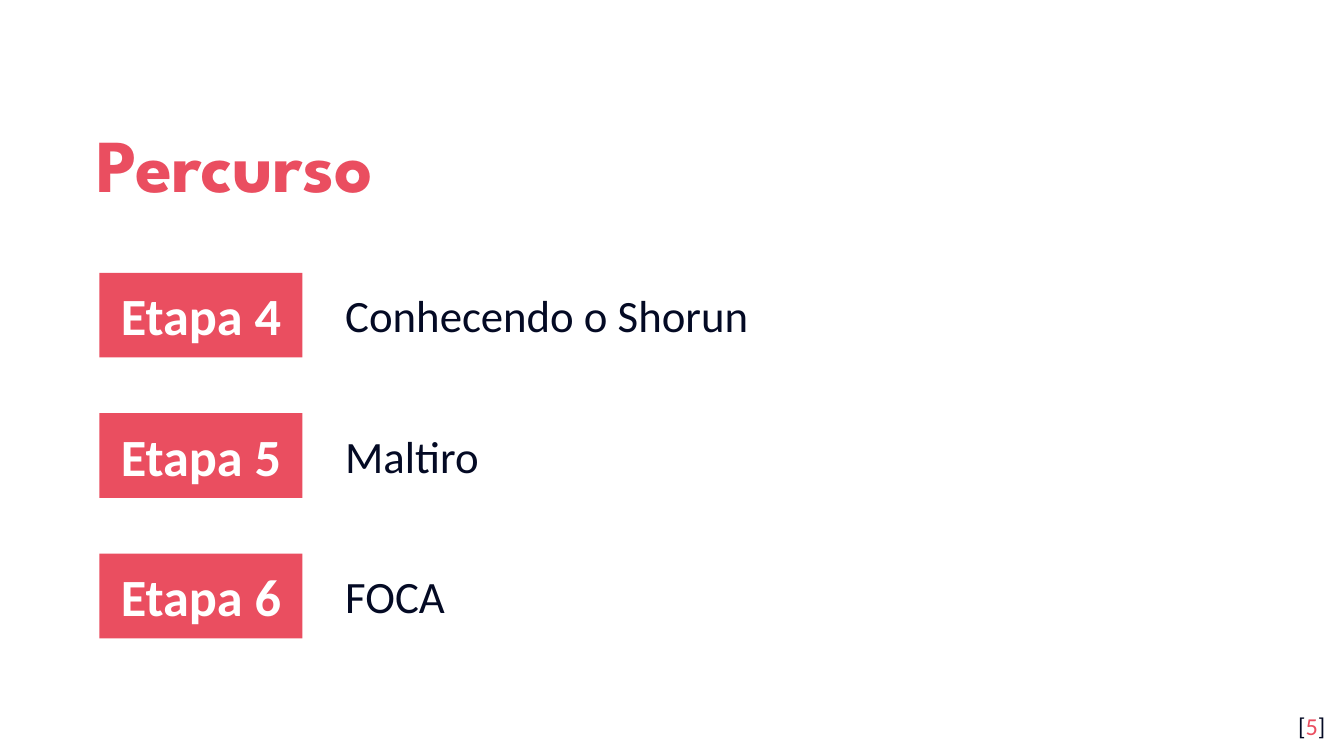
from dataclasses import dataclass

from pptx import Presentation
from pptx.dml.color import RGBColor
from pptx.enum.shapes import MSO_SHAPE
from pptx.enum.text import MSO_ANCHOR, MSO_AUTO_SIZE, PP_ALIGN
from pptx.util import Inches, Pt

RECTANGLE = MSO_SHAPE.RECTANGLE
TOP, MIDDLE = MSO_ANCHOR.TOP, MSO_ANCHOR.MIDDLE
LEFT, CENTER, RIGHT = PP_ALIGN.LEFT, PP_ALIGN.CENTER, PP_ALIGN.RIGHT
NO_AUTOSIZE = MSO_AUTO_SIZE.NONE


@dataclass(frozen=True)
class Theme:
    accent: RGBColor = RGBColor.from_string("EA4E60")
    dark: RGBColor = RGBColor.from_string("040A24")
    white: RGBColor = RGBColor.from_string("FFFFFF")
    heading_font: str = "League Spartan"
    body_font: str = "Calibri"
    title_size: int = 40
    badge_size: int = 28
    topic_size: int = 24
    number_size: int = 13


theme = Theme()


def format_frame(shape, anchor, alignment, end_inset=0.1):
    """Set up the text frame and return its first paragraph."""
    frame = shape.text_frame
    values = {
        "word_wrap": True,
        "auto_size": NO_AUTOSIZE,
        "vertical_anchor": anchor,
        "margin_left": Inches(0.1),
        "margin_right": Inches(0.1),
        "margin_top": Inches(end_inset),
        "margin_bottom": Inches(end_inset),
    }
    for name, value in values.items():
        setattr(frame, name, value)
    paragraph = frame.paragraphs[0]
    paragraph.alignment = alignment
    return paragraph


def add_run(paragraph, text, size, color, bold=False, font_name=theme.body_font):
    run = paragraph.add_run()
    run.text = text
    values = {"name": font_name, "size": Pt(size), "bold": bold}
    for name, value in values.items():
        setattr(run.font, name, value)
    run.font.color.rgb = color


presentation = Presentation()
presentation.slide_width = Inches(10)
presentation.slide_height = Inches(10 * 9 / 16)
slide = presentation.slides.add_slide(presentation.slide_layouts[5])
slide.background.fill.solid()
slide.background.fill.fore_color.rgb = theme.white

# Title
title = slide.shapes.title
title_box = {"left": 0.62, "top": 0.7, "width": 8.1, "height": 0.92}
for name, value in title_box.items():
    setattr(title, name, Inches(value))
paragraph = format_frame(title, MIDDLE, LEFT)
paragraph.line_spacing = 1.15
add_run(paragraph, "Percurso", theme.title_size, theme.accent, True, theme.heading_font)

# Stages: a badge and its topic on each row
first_stage = 4
topics = ["Conhecendo o Shorun", "Maltiro", "FOCA"]
first_top, last_top = 2.03, 4.12
row_pitch = (last_top - first_top) / (len(topics) - 1)
badge_height, topic_height = 0.63, 0.5

for row, topic in enumerate(topics):
    badge_top = first_top + row * row_pitch
    badge = slide.shapes.add_shape(
        RECTANGLE, Inches(0.74), Inches(badge_top), Inches(1.51), Inches(badge_height)
    )
    badge.shadow.inherit = False
    badge.fill.solid()
    badge.fill.fore_color.rgb = theme.accent
    badge.line.fill.background()
    paragraph = format_frame(badge, MIDDLE, CENTER)
    paragraph.level = 1
    add_run(paragraph, f"Etapa {first_stage + row}", theme.badge_size, theme.white, True)

    topic_top = badge_top + (badge_height - topic_height) / 2
    topic_box = slide.shapes.add_textbox(
        Inches(2.47), Inches(topic_top), Inches(6.75), Inches(topic_height)
    )
    paragraph = format_frame(topic_box, TOP, LEFT, end_inset=0.05)
    properties = paragraph._p.get_or_add_pPr()
    properties.set("marL", str(Inches(0.5)))
    properties.set("indent", str(Inches(-0.5)))
    add_run(paragraph, topic, theme.topic_size, theme.dark)

    # The level-one default indent would push the badge text off centre
    badge_properties = badge.text_frame.paragraphs[0]._p.get_or_add_pPr()
    badge_properties.set("marL", "0")

# Page number
number_box = slide.shapes.add_textbox(
    Inches(9.36), Inches(5.19), Inches(0.6), Inches(0.43)
)
paragraph = format_frame(number_box, TOP, RIGHT)
for text, color in [("[", theme.dark), ("5", theme.accent), ("]", theme.dark)]:
    add_run(paragraph, text, theme.number_size, color)

presentation.save("out.pptx")
